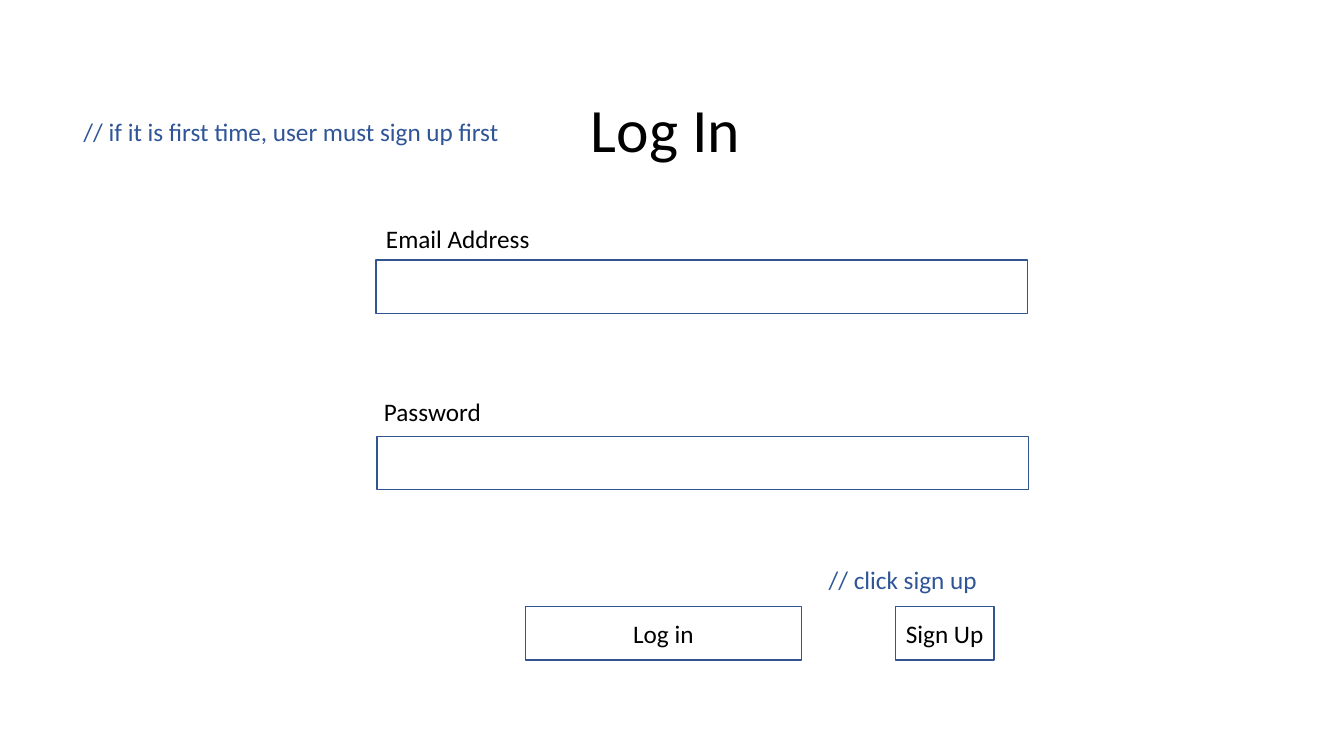
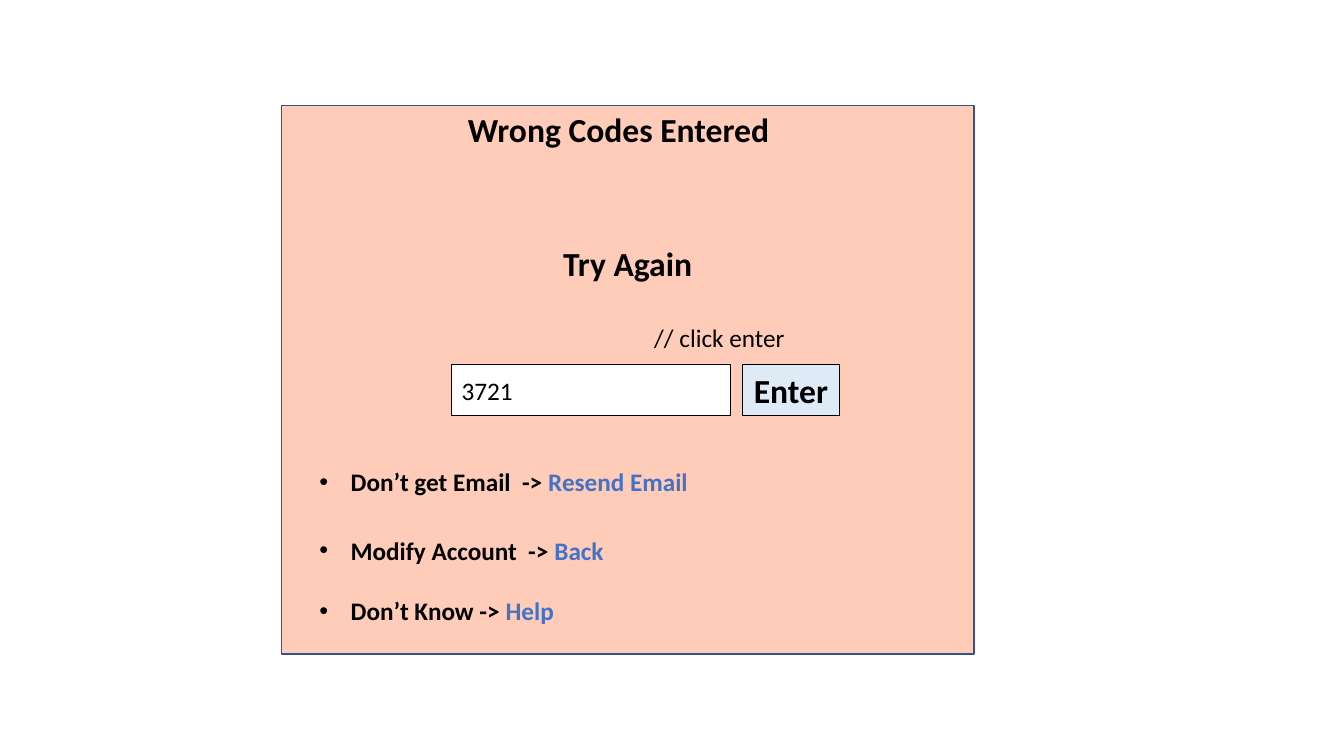
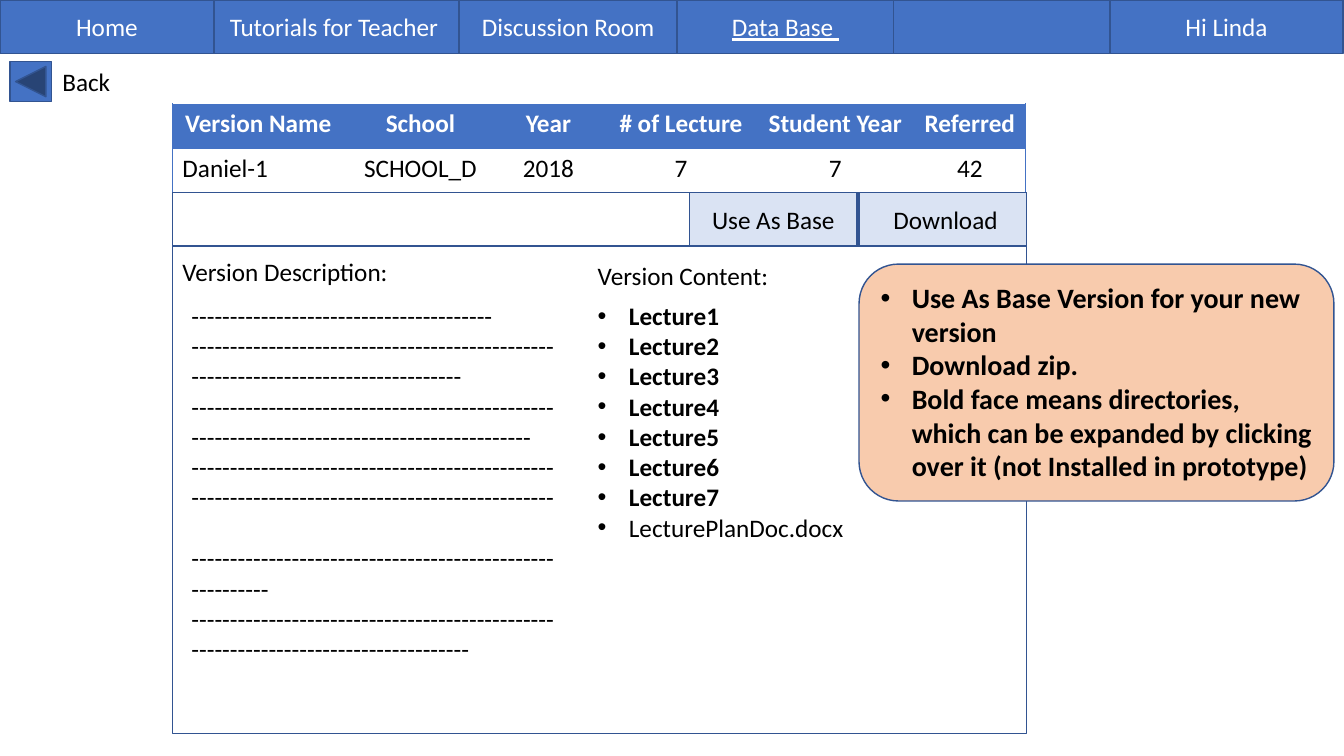
from lxml.etree import SubElement as Sub
from pptx import Presentation
from pptx.dml.color import RGBColor as Rgb
from pptx.enum.shapes import MSO_SHAPE as Kind
from pptx.enum.text import MSO_ANCHOR as Anchor, PP_ALIGN as Align
from pptx.oxml.ns import qn
from pptx.util import Pt

PX = 9144  # EMU in one px, 100 px to the inch
FONT = "Calibri"
INDENT = 31
BAR = 53
COLORS = {
    "black": "000000", "white": "FFFFFF", "blue": "4472C4", "edge": "325491",
    "note": "2F5597", "pale": "DAE3F3", "ice": "DEEBF7", "pink": "FFCCBA",
    "peach": "F8CBAD",
}


def rgb(name):
    return Rgb.from_string(COLORS[name])


def scale(*sizes):
    return [size * PX for size in sizes]


def add_dot(para):
    props = para._p.get_or_add_pPr()
    props.set("marL", str(INDENT * PX))
    props.set("indent", str(-INDENT * PX))
    Sub(props, qn("a:buFont"), typeface="Arial")
    Sub(props, qn("a:buChar"), char="•")


def write(frame, text, size=18, color="black", bold=False, under=False,
          align=Align.LEFT, dots=False):
    """Text is a string or a list of paragraphs; a paragraph is a string
    or a list of (string, changed format) runs."""
    items = [text] if isinstance(text, str) else text
    for i, item in enumerate(items):
        para = frame.add_paragraph() if i else frame.paragraphs[0]
        para.alignment = align
        if dots:
            add_dot(para)
        for part, change in [(item, {})] if isinstance(item, str) else item:
            look = {"color": color, "bold": bold, **change}
            run = para.add_run()
            run.text = part
            font = run.font
            font.name, font.size = FONT, Pt(size)
            font.bold, font.underline = look["bold"], under
            font.color.rgb = rgb(look["color"])


def add_text(slide, x, y, w, h, text, wrap=True, **look):
    frame = slide.shapes.add_textbox(*scale(x, y, w, h)).text_frame
    frame.word_wrap = wrap
    write(frame, text, **look)
    return frame


def add_box(slide, x, y, w, h, text="", fill=None, edge="edge", width=1,
            kind=Kind.RECTANGLE, anchor=Anchor.MIDDLE, wrap=True,
            align=Align.CENTER, **look):
    box = slide.shapes.add_shape(kind, *scale(x, y, w, h))
    box.shadow.inherit = False
    if fill:
        box.fill.solid()
        box.fill.fore_color.rgb = rgb(fill)
    else:
        box.fill.background()
    box.line.color.rgb = rgb(edge)
    box.line.width = Pt(width)
    if text:
        frame = box.text_frame
        frame.word_wrap, frame.vertical_anchor = wrap, anchor
        write(frame, text, align=align, **look)


def set_edge(cell, side, shown):
    line = Sub(cell._tc.get_or_add_tcPr(), qn("a:ln" + side), w=str(Pt(0.5)))
    if shown:
        fill = Sub(line, qn("a:solidFill"))
        Sub(fill, qn("a:srgbClr"), val=COLORS["blue"])
    else:
        Sub(line, qn("a:noFill"))


def add_grid(slide, x, y, cols, high, rows):
    table = slide.shapes.add_table(
        len(rows), len(cols), *scale(x, y, sum(cols), high * len(rows))).table
    table.horz_banding = False
    for col, wide in zip(table.columns, cols):
        col.width = wide * PX
    for r, row in enumerate(rows):
        table.rows[r].height = high * PX
        for c, text in enumerate(row):
            cell = table.cell(r, c)
            for side, shown in (("L", c == 0), ("R", c == len(cols) - 1),
                                ("T", True), ("B", True)):
                set_edge(cell, side, shown)
            head = r == 0
            if head:
                cell.fill.solid()
                cell.fill.fore_color.rgb = rgb("blue")
            else:
                cell.fill.background()
            write(cell.text_frame, text, bold=head,
                  color="white" if head else "black",
                  align=Align.CENTER if head or c else Align.LEFT)


def add_nav(slide):
    add_box(slide, 0, 0, 1101, BAR, fill="blue")
    x = 0
    for text, wide in (("Home", 212), ("Tutorials for Teacher ", 242),
                       ("Discussion Room", 215), ("Data Base ", 214),
                       ("", 213), ("Hi Linda", 231)):
        if text:
            add_box(slide, x, 0, wide, BAR, text, fill="blue", color="white",
                    under=text == "Data Base ")
        x += wide + 1


def draw_login(slide):
    title = add_text(slide, 92, 59, 1150, 145, "Log In ", size=44,
                     align=Align.CENTER)
    title.vertical_anchor = Anchor.MIDDLE
    title.paragraphs[0].line_spacing = 0.9
    for text, x, y, wide, left, top in (
            ("Email Address", 373, 217, 164, 373, 258),
            ("Password", 371, 388, 117, 374, 433)):
        add_text(slide, x, y, wide, 40, text, wrap=False)
        add_box(slide, left, top, 646, 53, fill="white")
    add_box(slide, 521, 602, 274, 53, "Log in", fill="white")
    add_box(slide, 888, 602, 98, 53, "Sign Up", wrap=False)
    add_text(slide, 812, 555, 169, 40, "// click sign up", wrap=False,
             color="note")
    add_text(slide, 73, 111, 437, 40,
             "// if it is first time, user must sign up first", wrap=False,
             color="note")


def draw_retry(slide):
    add_box(slide, 279, 105, 687, 544, fill="pink")
    head = {"size": 24, "bold": True, "align": Align.CENTER}
    add_text(slide, 416, 103, 395, 50, "Wrong Codes Entered", **head)
    add_text(slide, 279, 236, 687, 50, "Try Again", **head)
    add_box(slide, 736, 362, 97, 50, "Enter", fill="ice", edge="black",
            width=0.75, **head)
    add_box(slide, 448, 362, 277, 50, "3721", fill="white", edge="black",
            width=0.75, align=Align.LEFT)
    add_text(slide, 639, 315, 151, 40, "// click enter", wrap=False)
    for y, text, link in ((458, "Don’t get Email  -> ", "Resend Email"),
                          (526, "Modify Account  -> ", "Back"),
                          (586, "Don’t Know -> ", "Help")):
        add_text(slide, 307, y, 393, 40,
                 [[(text, {}), (link, {"color": "blue"})]],
                 bold=True, dots=True)


def draw_version(slide):
    add_grid(slide, 171, 103, (176, 140, 114, 149, 157, 110), 44, (
        ("Version Name ", "School", "Year", "# of Lecture", "Student Year",
         "Referred"),
        ("Daniel-1", "SCHOOL_D", "2018", "7", "7", "42")))
    for high in (537, BAR):
        add_box(slide, 171, 191, 847, high)
    for x, text in ((852, " Download"), (684, "Use As Base")):
        add_box(slide, x, 191, 166, BAR, text, fill="pale")
    add_text(slide, 171, 249, 226, 40, "Version Description:", wrap=False)
    lines = ["-" * n for n in (39, 47, 35, 47, 44, 47, 47, 57, 83)]
    body = add_text(slide, 180, 293, 383, 374, lines)
    body.paragraphs[7].space_before = Pt(22)
    add_text(slide, 583, 253, 191, 40, "Version Content:", wrap=False)
    files = [f"Lecture{n}" for n in range(1, 8)]
    add_text(slide, 583, 293, 383, 252,
             files + [[("LecturePlanDoc.docx", {"bold": False})]],
             bold=True, dots=True)
    add_box(slide, 10, 61, 41, 40, fill="blue",
            kind=Kind.ACTION_BUTTON_BACK_OR_PREVIOUS)
    add_text(slide, 52, 61, 76, 40, "Back")
    add_box(slide, 852, 262, 471, 235, [
        "Use As Base Version for your new version",
        "Download zip.",
        "Bold face means directories, which can be expanded by clicking "
        "over it (not Installed in prototype)",
    ], fill="peach", kind=Kind.ROUNDED_RECTANGLE, anchor=Anchor.TOP,
        align=Align.LEFT, size=20, bold=True, dots=True)
    add_nav(slide)


def main():
    deck = Presentation()
    deck.slide_width, deck.slide_height = scale(1333, 750)
    for draw in (draw_login, draw_retry, draw_version):
        draw(deck.slides.add_slide(deck.slide_layouts[6]))
    deck.save("out.pptx")


if __name__ == "__main__":
    main()
